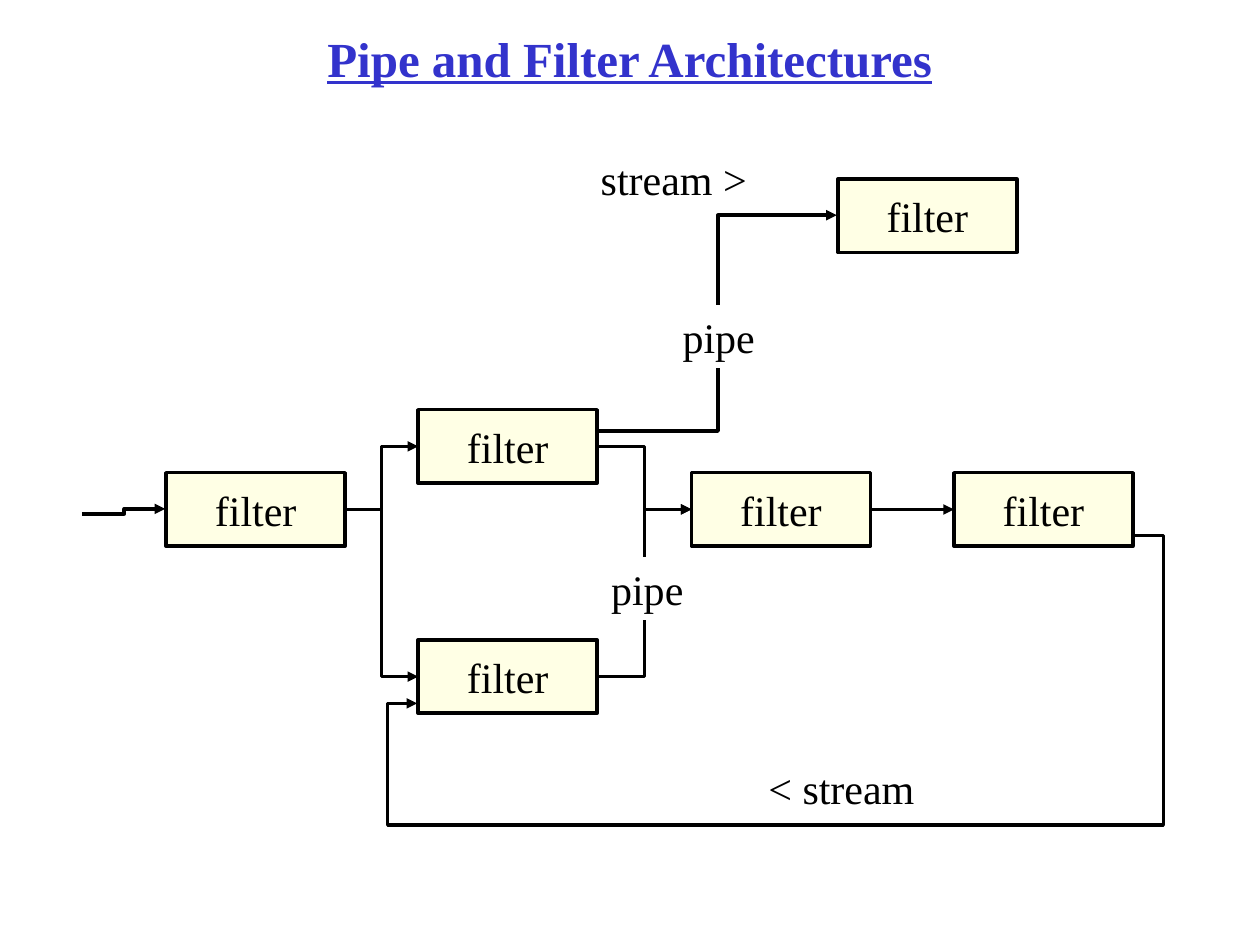
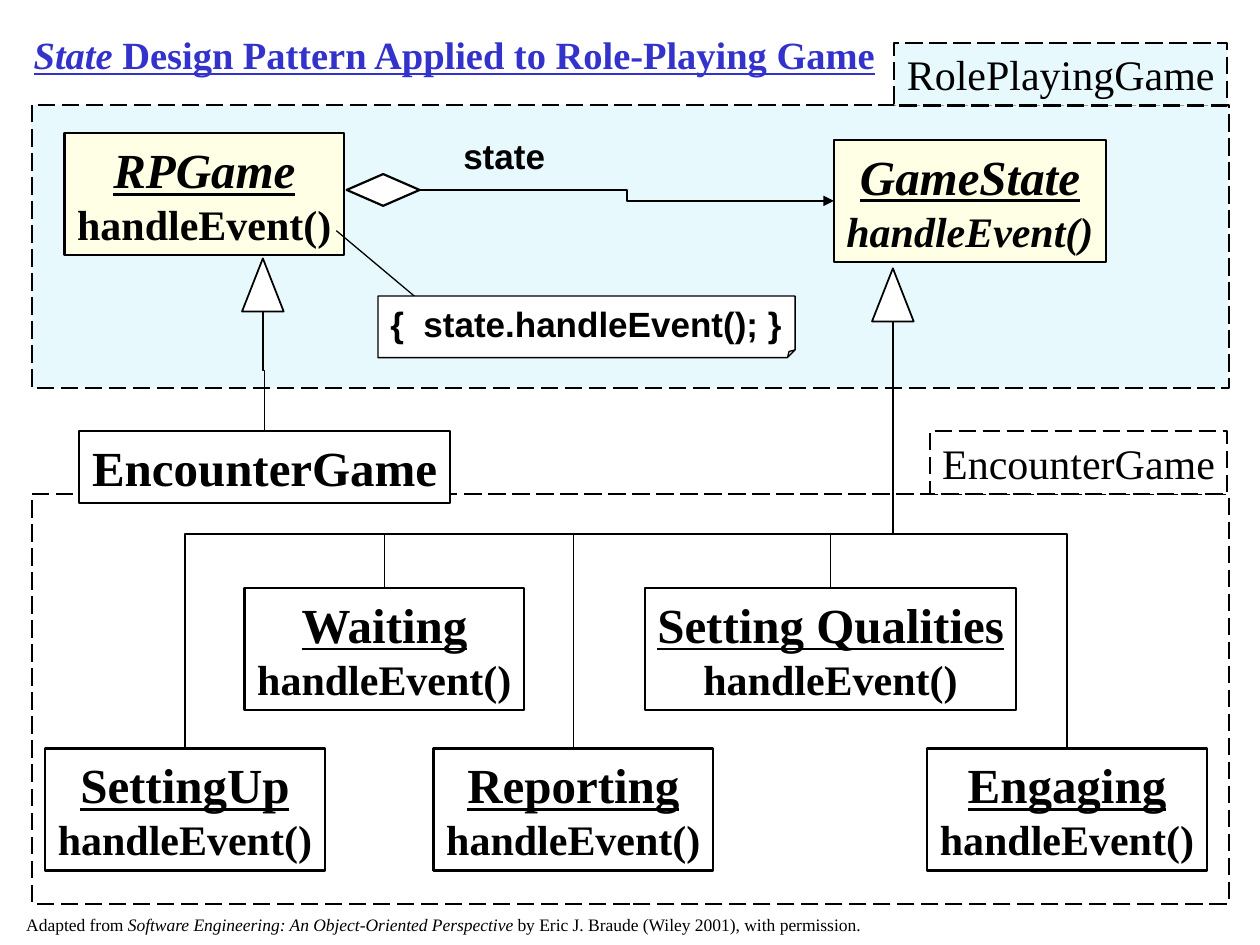
from lxml.etree import SubElement
from pptx import Presentation
from pptx.dml.color import RGBColor
from pptx.enum.dml import MSO_LINE
from pptx.enum.shapes import MSO_CONNECTOR, MSO_SHAPE
from pptx.enum.text import MSO_ANCHOR, MSO_AUTO_SIZE, PP_ALIGN
from pptx.oxml.ns import qn
from pptx.util import Cm, Pt

BLACK = RGBColor(0x00, 0x00, 0x00)
WHITE = RGBColor(0xFF, 0xFF, 0xFF)
TITLE_BLUE = RGBColor(0x33, 0x33, 0xCC)
CREAM = RGBColor(0xFF, 0xFF, 0xE5)
PALE_CYAN = RGBColor(0xE7, 0xF9, 0xFD)

SERIF = "Times New Roman"
SANS = "Arial"
PLAIN = {"name": SERIF, "size": Pt(24), "bold": False, "italic": False, "underline": False}
BOLD = PLAIN | {"bold": True}
CLASS_NAME = BOLD | {"size": Pt(28)}
CODE = BOLD | {"name": SANS, "size": Pt(20)}
CREDIT = PLAIN | {"size": Pt(10)}
FRAME = {
    "auto_size": MSO_AUTO_SIZE.NONE,
    "word_wrap": False,
    "vertical_anchor": MSO_ANCHOR.MIDDLE,
    "margin_left": Cm(0.25),
    "margin_right": Cm(0.25),
    "margin_top": Cm(0.13),
    "margin_bottom": Cm(0.13),
}
TOP, LEFT, BOTTOM, RIGHT = range(4)
TRIANGLE_BASE = 3


def apply(target, values):
    """Set each named attribute of the target."""
    for name, value in values.items():
        setattr(target, name, value)


def write(shape, lines, align=PP_ALIGN.CENTER, color=BLACK, **frame_values):
    """Fill a shape with paragraphs, each a list of (text, font values) runs."""
    frame = shape.text_frame
    apply(frame, FRAME | frame_values)
    for index, runs in enumerate(lines):
        paragraph = frame.add_paragraph() if index else frame.paragraphs[0]
        paragraph.alignment = align
        for text, values in runs:
            run = paragraph.add_run()
            run.text = text
            apply(run.font, values)
            run.font.color.rgb = color


def add_title(slide, box, runs, align, line_spacing=1.0):
    """Place and format the title placeholder."""
    title = slide.shapes.title
    apply(title, dict(zip(("left", "top", "width", "height"), map(Cm, box))))
    write(title, [runs], align, TITLE_BLUE, word_wrap=True)
    title.text_frame.paragraphs[0].line_spacing = line_spacing


def add_outline(slide, kind, box, fill=WHITE, weight=1.25, dash=None):
    """Add a preset shape with a black outline."""
    shape = slide.shapes.add_shape(kind, *map(Cm, box))
    shape.shadow.inherit = False
    if fill is None:
        shape.fill.background()
    else:
        shape.fill.solid()
        shape.fill.fore_color.rgb = fill
    shape.line.color.rgb = BLACK
    shape.line.width = Pt(weight)
    if dash:
        shape.line.dash_style = dash
    return shape


def add_label(slide, box, runs, fill=None, **frame_values):
    """Add a left-aligned text box, optionally filled to mask lines below."""
    label = slide.shapes.add_textbox(*map(Cm, box))
    if fill is not None:
        label.fill.solid()
        label.fill.fore_color.rgb = fill
    write(label, [runs], PP_ALIGN.LEFT, vertical_anchor=MSO_ANCHOR.TOP, **frame_values)


def add_filter(slide, left, top):
    """Add one filter box."""
    box = add_outline(slide, MSO_SHAPE.RECTANGLE, (left, top, 3.61, 1.48), CREAM, 2)
    write(box, [[("filter", PLAIN)]])
    return box


def add_class(slide, box, name, fill=WHITE, name_style=None, method_style=BOLD):
    """Add a class box with its name above its method."""
    shape = add_outline(slide, MSO_SHAPE.RECTANGLE, box, fill)
    name_style = CLASS_NAME | {"underline": True} | (name_style or {})
    write(shape, [[(name, name_style)], [("handleEvent()", method_style)]])
    return shape


def add_package(slide, box, tag_box, name, tag_fill, fill):
    """Add a dashed package frame and its name tag."""
    for part, part_fill in ((box, fill), (tag_box, tag_fill)):
        shape = add_outline(slide, MSO_SHAPE.RECTANGLE, part, part_fill, dash=MSO_LINE.LONG_DASH)
    write(shape, [[(name, PLAIN)]])


def add_guide(shape, name, ratio):
    """Add an adjustment value to a preset geometry."""
    guides = shape._element.spPr.find(qn("a:prstGeom")).find(qn("a:avLst"))
    SubElement(guides, qn("a:gd"), name=name, fmla=f"val {round(ratio * 100000)}")


def bend(link, ratios):
    """Set the bends of an elbow connector."""
    geometry = link._element.spPr.find(qn("a:prstGeom"))
    geometry.set("prst", f"bentConnector{len(ratios) + 2}")
    for number, ratio in enumerate(ratios, 1):
        add_guide(link, f"adj{number}", ratio)


def add_link(slide, kind, ends, weight, arrow=False):
    """Add a black connector, with an arrowhead at its end if asked."""
    link = slide.shapes.add_connector(kind, *map(Cm, ends))
    link.line.color.rgb = BLACK
    link.line.width = Pt(weight)
    if arrow:
        SubElement(link.get_or_add_ln(), qn("a:tailEnd"), type="triangle")
    SubElement(link._element.spPr, qn("a:effectLst"))
    return link


def add_flow(slide, source, target, weight, kind=MSO_CONNECTOR.ELBOW):
    """Join the right side of one shape to the left side of another."""
    link = add_link(slide, kind, (0, 0, 0, 0), weight, arrow=True)
    link.begin_connect(source, RIGHT)
    link.end_connect(target, LEFT)


def add_inheritance(slide, triangle, subclass, bus):
    """Drop an elbow from a triangle's base to a subclass, turning at height bus."""
    link = add_link(slide, MSO_CONNECTOR.ELBOW, (0, 0, 0, 0), 0.75)
    link.begin_connect(triangle, TRIANGLE_BASE)
    link.end_connect(subclass, TOP)
    start_x = triangle.left + triangle.width // 2
    start_y = triangle.top + triangle.height
    end_x = subclass.left + subclass.width // 2
    drop, shift = subclass.top - start_y, end_x - start_x
    apply(link, {
        "left": (start_x + end_x - drop) // 2,
        "top": (start_y + subclass.top - abs(shift)) // 2,
        "width": drop,
        "height": abs(shift),
    })
    transform = link._element.spPr.find(qn("a:xfrm"))
    for name, value in {"rot": "5400000", "flipH": "0", "flipV": str(int(shift > 0))}.items():
        transform.set(name, value)
    bend(link, [(Cm(bus) - start_y) / drop])


def build_pipes(slide):
    """Draw the pipe and filter architecture."""
    title_style = CLASS_NAME | {"underline": True}
    add_title(slide, (1.9, 0.43, 21.59, 1.47),
              [("Pipe and Filter Architectures", title_style)], PP_ALIGN.CENTER)
    entry, upper, lower, merge, last, _ = [
        add_filter(slide, left, top)
        for left, top in ((3.35, 9.53), (8.43, 8.26), (8.43, 12.9),
                          (13.94, 9.53), (19.23, 9.53), (16.89, 3.61))
    ]
    for source, target in ((entry, upper), (entry, lower), (upper, merge), (lower, merge)):
        add_flow(slide, source, target, 2)
    add_flow(slide, merge, last, 2, MSO_CONNECTOR.STRAIGHT)
    for ends, ratios in (
        ((22.86, 10.8, 8.41, 14.18), (-0.041, 1.724, 1.041)),
        ((12.04, 8.69, 16.87, 4.34), (0.504,)),
        ((1.65, 10.36, 3.33, 10.26), (0.509,)),
    ):
        bend(add_link(slide, MSO_CONNECTOR.ELBOW, ends, 2, arrow=True), ratios)
    for left, top in ((13.51, 6.15), (12.07, 11.23)):
        add_label(slide, (left, top, 1.96, 1.27), [("pipe", PLAIN)], WHITE)
    for left, top, text in ((15.24, 15.24, "< stream"), (11.86, 2.97, "stream >")):
        add_label(slide, (left, top, 3.45, 1.27), [(text, PLAIN)])


def build_state_pattern(slide):
    """Draw the class model of the State pattern."""
    title_style = BOLD | {"size": Pt(22), "underline": True}
    italic = {"italic": True}
    add_title(slide, (0.43, 0.2, 21.59, 1.9),
              [("State", title_style | italic),
               (" Design Pattern Applied to Role-Playing Game", title_style)],
              PP_ALIGN.LEFT, 0.9)
    add_package(slide, (0.64, 2.11, 24.13, 5.72), (18.03, 0.86, 6.71, 1.27),
                "RolePlayingGame", PALE_CYAN, PALE_CYAN)
    add_package(slide, (0.64, 9.96, 24.13, 8.26), (18.75, 8.69, 5.99, 1.27),
                "EncounterGame", WHITE, None)

    add_class(slide, (1.3, 2.69, 5.64, 2.46), "RPGame", CREAM, italic)
    game_state = add_class(slide, (16.81, 2.82, 5.49, 2.46), "GameState", CREAM, italic,
                           BOLD | italic)
    encounter = add_outline(slide, MSO_SHAPE.RECTANGLE, (1.6, 8.69, 7.47, 1.45))
    write(encounter, [[("EncounterGame", CLASS_NAME)]])
    states = [
        add_class(slide, (left, top, width, 2.46), name)
        for name, left, top, width in (
            ("SettingUp", 0.91, 15.09, 5.64),
            ("Waiting", 4.93, 11.86, 5.64),
            ("Reporting", 8.74, 15.09, 5.64),
            ("Setting Qualities", 13, 11.86, 7.49),
            ("Engaging", 18.69, 15.09, 5.64),
        )
    ]

    aggregation = add_outline(slide, MSO_SHAPE.DIAMOND, (6.99, 3.51, 1.47, 0.64))
    add_flow(slide, aggregation, game_state, 1.25)
    add_label(slide, (9.09, 2.59, 2.16, 1.12), [("state", CODE)])
    game_parent, state_parent = [
        add_outline(slide, MSO_SHAPE.ISOSCELES_TRIANGLE, (left, top, 0.84, 1.07), weight=1)
        for left, top in ((4.88, 5.21), (17.58, 5.41))
    ]
    add_inheritance(slide, game_parent, encounter, 7.47)
    for state in states:
        add_inheritance(slide, state_parent, state, 10.77)

    add_link(slide, MSO_CONNECTOR.STRAIGHT, (6.78, 4.65, 9.32, 6.78), 0.75)
    note = add_outline(slide, MSO_SHAPE.FOLDED_CORNER, (7.62, 5.97, 8.41, 1.24), weight=0.75)
    add_guide(note, "adj", 0.125)
    write(note, [[("{  state.handleEvent(); }", CODE)]], PP_ALIGN.LEFT,
          vertical_anchor=MSO_ANCHOR.TOP)
    add_label(slide, (0.28, 18.42, 17.35, 0.43),
              [("Adapted from ", CREDIT),
               ("Software Engineering: An Object-Oriented Perspective ", CREDIT | italic),
               ("by Eric J. Braude (Wiley 2001), with permission.", CREDIT)],
              WHITE, margin_top=0, margin_bottom=0)


def main():
    """Build and save the two slides."""
    deck = Presentation()
    deck.slide_width, deck.slide_height = Cm(25.4), Cm(19.05)
    title_only = deck.slide_layouts[5]
    for build in (build_pipes, build_state_pattern):
        build(deck.slides.add_slide(title_only))
    deck.save("out.pptx")


if __name__ == "__main__":
    main()
